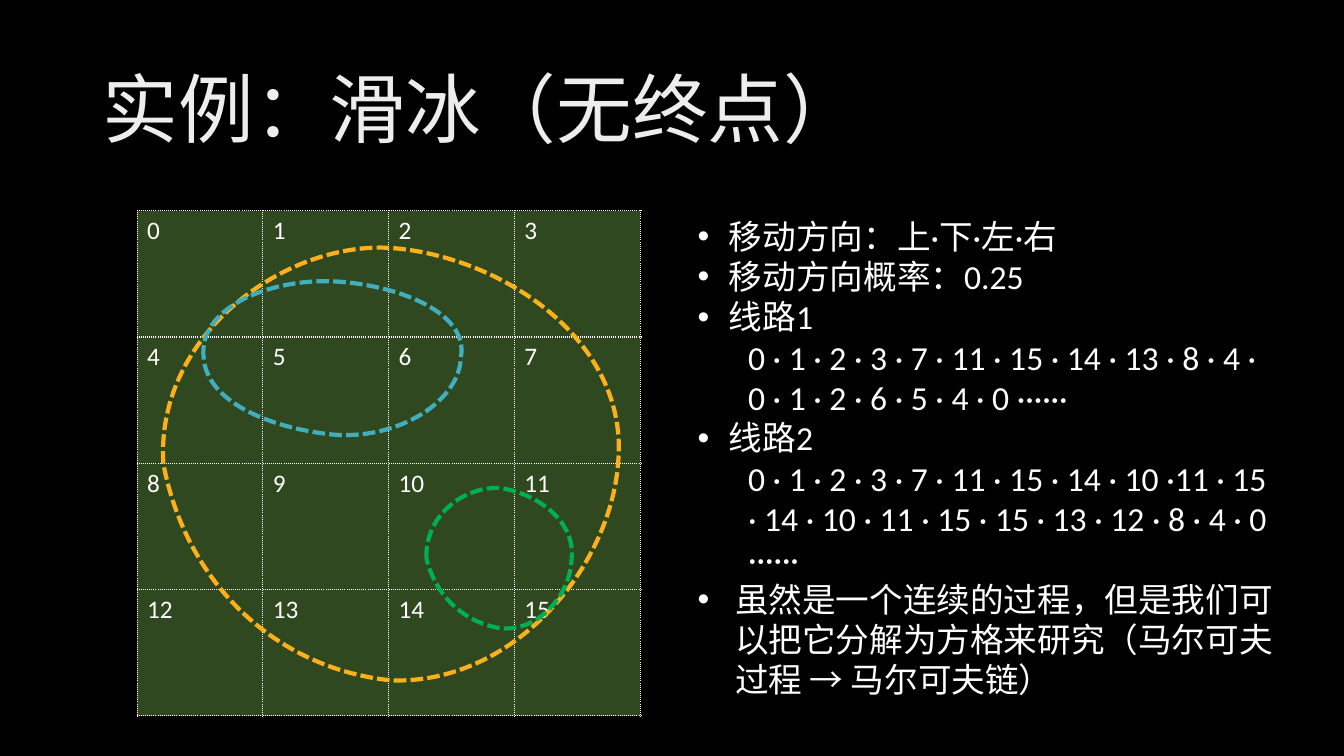
from dataclasses import dataclass

from lxml.etree import SubElement
from pptx import Presentation
from pptx.dml.color import RGBColor
from pptx.enum.dml import MSO_LINE_DASH_STYLE as Dash
from pptx.enum.lang import MSO_LANGUAGE_ID as Language
from pptx.enum.text import MSO_ANCHOR as Anchor, MSO_AUTO_SIZE as AutoSize, PP_ALIGN as Align
from pptx.oxml import parse_xml
from pptx.oxml.ns import nsdecls, qn
from pptx.util import Emu, Pt

EMU_PER_PX = 9144  # 100 px to the inch
FONT = "Calibri"
WHITE, BLACK, GRID_GREEN = "FFFFFF", "000000", "30481F"
GRID_SIZE = 4

Point = tuple[int, int]


@dataclass(frozen=True)
class Route:
    color: str
    points: list[Point]  # start, then two controls and an end for each curve


@dataclass(frozen=True)
class Item:
    text: str
    level: int = 0
    margin: int = 31


ROUTES = [
    Route("FCB11C", [(162, 460), (154, 332), (283, 239), (388, 246), (497, 254), (625, 338),
                     (613, 460), (605, 563), (510, 679), (388, 675), (272, 663), (184, 577),
                     (162, 460)]),
    Route("00B050", [(423, 554), (421, 513), (458, 483), (495, 484), (528, 488), (571, 514),
                     (567, 554), (566, 591), (533, 628), (495, 623), (460, 617), (432, 591),
                     (423, 554)]),
    Route("41AEBD", [(202, 355), (196, 306), (265, 277), (329, 279), (394, 282), (466, 310),
                     (457, 355), (456, 396), (398, 437), (329, 431), (264, 424), (205, 397),
                     (202, 355)]),
]

ITEMS = [
    Item("移动方向：上·下·左·右"),
    Item("移动方向概率：0.25"),
    Item("线路1"),
    Item("0 · 1 · 2 · 3 · 7 · 11 · 15 · 14 · 13 · 8 · 4 · 0 · 1 · 2 · 6 · 5 · 4 · 0 ······",
         level=1, margin=50),
    Item("线路2"),
    Item("0 · 1 · 2 · 3 · 7 · 11 · 15 · 14 · 10 ·11 · 15 · 14 · 10 · 11 · 15 · 15 · 13 · 12"
         " · 8 · 4 · 0 ······", level=1, margin=50),
    Item("虽然是一个连续的过程，但是我们可以把它分解为方格来研究（马尔可夫过程 → 马尔可夫链）",
         margin=37),
]


def px(length: int) -> Emu:
    return Emu(length * EMU_PER_PX)


def rgb(color: str) -> RGBColor:
    return RGBColor.from_string(color)


def write(paragraph, text: str, *, size: int, color: str = WHITE, line_spacing: float = 1.0) -> None:
    paragraph.alignment = Align.LEFT
    paragraph.line_spacing = line_spacing
    paragraph.space_before = Pt(0)
    run = paragraph.add_run()
    run.text = text
    run.font.name = FONT
    run.font.size = Pt(size)
    run.font.bold = False
    run.font.color.rgb = rgb(color)
    run.font.language_id = Language.SIMPLIFIED_CHINESE


def place(shape, left: int, top: int, width: int, height: int) -> None:
    shape.left, shape.top, shape.width, shape.height = map(px, (left, top, width, height))


def add_title(slide) -> None:
    title = slide.shapes.title
    place(title, 92, 40, 1150, 145)
    frame = title.text_frame
    frame.auto_size = AutoSize.NONE
    frame.vertical_anchor = Anchor.MIDDLE
    write(frame.paragraphs[0], "实例：滑冰（无终点）", size=54, color="EDEDED", line_spacing=0.9)


def add_list(slide) -> None:
    body = slide.placeholders[1]
    place(body, 682, 209, 593, 535)
    frame = body.text_frame
    frame.word_wrap = True
    frame.auto_size = AutoSize.NONE
    frame.vertical_anchor = Anchor.TOP
    for index, item in enumerate(ITEMS):
        paragraph = frame.add_paragraph() if index else frame.paragraphs[0]
        paragraph.level = item.level
        write(paragraph, item.text, size=24)
        properties = paragraph._p.get_or_add_pPr()
        properties.set("marL", str(px(item.margin)))
        properties.set("indent", "0" if item.level else str(px(-item.margin)))
        if item.level:
            SubElement(properties, qn("a:buNone"))
        else:
            SubElement(properties, qn("a:buFont"), typeface="Arial")
            SubElement(properties, qn("a:buChar"), char="•")


def add_borders(cell) -> None:
    properties = cell._tc.get_or_add_tcPr()
    for index, side in enumerate("LRTB"):
        properties.insert(index, parse_xml(
            f'<a:ln{side} {nsdecls("a")} w="{Pt(1)}"><a:solidFill><a:srgbClr val="{WHITE}"/>'
            f'</a:solidFill><a:prstDash val="sysDot"/></a:ln{side}>'))


def add_ice_grid(slide) -> None:
    table = slide.shapes.add_table(GRID_SIZE, GRID_SIZE, px(136), px(209), px(499), px(501)).table
    table.first_row = table.horz_banding = False
    for number, cell in enumerate(table.iter_cells()):
        cell.fill.solid()
        cell.fill.fore_color.rgb = rgb(GRID_GREEN)
        write(cell.text_frame.paragraphs[0], str(number), size=18)
        add_borders(cell)


def bend(shape, points: list[Point]) -> None:
    """Turn each straight segment of the outline into a cubic curve."""
    left, top = (min(point[axis] for point in points[::3]) for axis in (0, 1))
    segments = list(shape._element.iter(qn("a:lnTo")))
    for index, segment in enumerate(segments):
        curve = SubElement(segment.getparent(), qn("a:cubicBezTo"))
        for x, y in points[3 * index + 1:3 * index + 4]:
            SubElement(curve, qn("a:pt"), x=str(px(x - left)), y=str(px(y - top)))
        segment.getparent().replace(segment, curve)


def add_route(group, route: Route) -> None:
    anchors = [(px(x), px(y)) for x, y in route.points[::3]]
    builder = group.shapes.build_freeform(*anchors[0])
    builder.add_line_segments(anchors[1:], close=True)
    shape = builder.convert_to_shape()
    bend(shape, route.points)
    shape.shadow.inherit = False
    shape.fill.background()
    shape.line.color.rgb = rgb(route.color)
    shape.line.width = Pt(3)
    shape.line.dash_style = Dash.SQUARE_DOT
    shape.line._get_or_add_ln().find(qn("a:prstDash")).set("val", "sysDash")


def main() -> None:
    presentation = Presentation()
    presentation.slide_width, presentation.slide_height = px(1333), px(750)
    slide = presentation.slides.add_slide(presentation.slide_layouts[1])
    background = slide.background.fill
    background.solid()
    background.fore_color.rgb = rgb(BLACK)

    # Heading and explanation
    add_title(slide)
    add_list(slide)

    # Ice field with the routes over it
    add_ice_grid(slide)
    routes = slide.shapes.add_group_shape()
    for route in ROUTES:
        add_route(routes, route)

    presentation.save("out.pptx")


if __name__ == "__main__":
    main()
